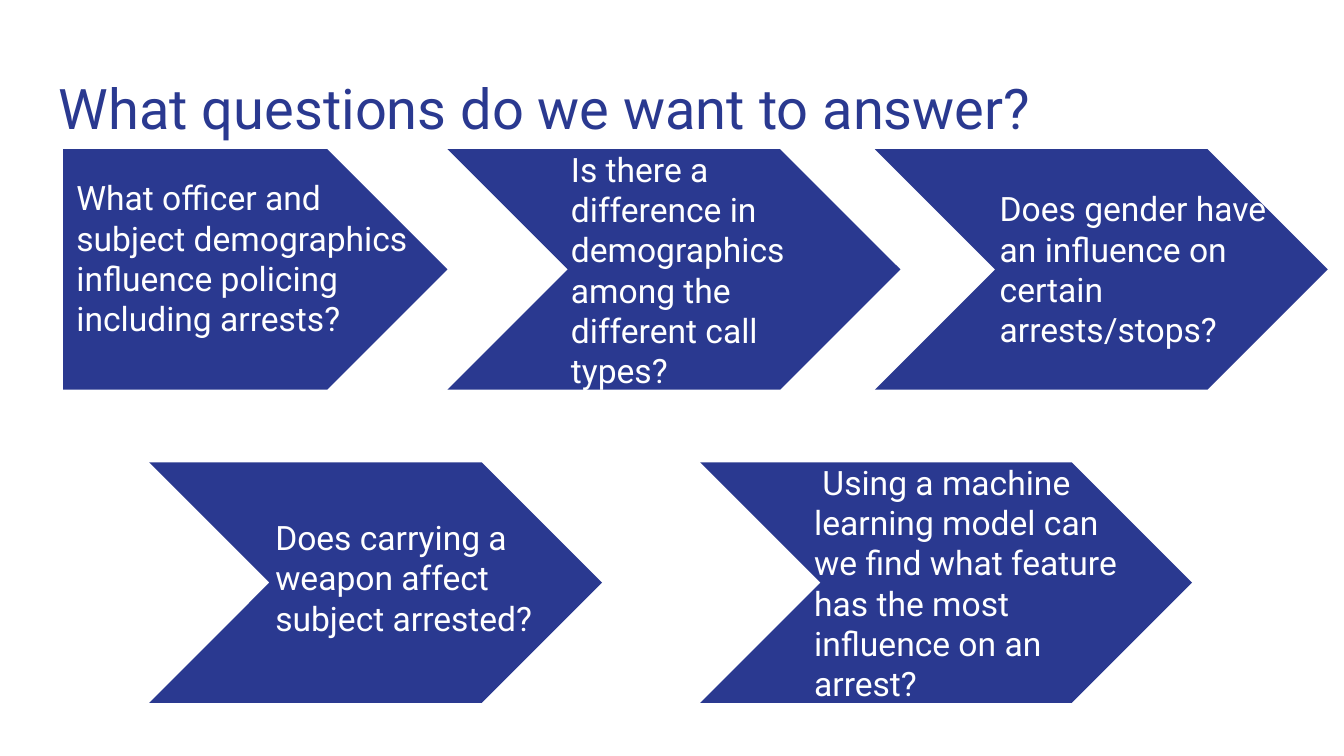
from dataclasses import dataclass

from pptx import Presentation
from pptx.dml.color import RGBColor
from pptx.enum.shapes import MSO_SHAPE
from pptx.enum.text import MSO_ANCHOR
from pptx.slide import Slide
from pptx.util import Inches, Pt

PENTAGON = MSO_SHAPE.PENTAGON
CHEVRON = MSO_SHAPE.CHEVRON
TOP = MSO_ANCHOR.TOP
MIDDLE = MSO_ANCHOR.MIDDLE

# The slide is 16:9 and ten columns wide; a row is as tall as a column is wide.
COLUMNS = 10
ROWS = COLUMNS * 9 / 16
COLUMN = Inches(1)
ARROW_HEIGHT = 1.79
UPPER_ROW, LOWER_ROW = 1.11, 3.44
INSET = 0.1


@dataclass(frozen=True)
class Theme:
    font: str = "Roboto"
    navy: RGBColor = RGBColor(0x2A, 0x39, 0x90)
    white: RGBColor = RGBColor(0xFF, 0xFF, 0xFF)
    title_size: int = 30
    question_size: int = 18


@dataclass(frozen=True)
class Area:
    """A place on the slide, in columns and rows."""
    left: float
    top: float
    width: float
    height: float

    def to_emu(self) -> list[int]:
        return [round(n * COLUMN)
                for n in (self.left, self.top, self.width, self.height)]


@dataclass(frozen=True)
class Question:
    wording: str
    arrow: Area
    label: Area
    outline: MSO_SHAPE = CHEVRON
    bottom_inset: float = INSET


THEME = Theme()

QUESTIONS = [
    Question("What officer and subject demographics influence policing "
             "including arrests?",
             Area(0.47, UPPER_ROW, 2.86, ARROW_HEIGHT),
             Area(0.47, 1.2, 2.7, 1.44), PENTAGON),
    Question("Is there a difference in demographics among the different "
             "call types?",
             Area(3.33, UPPER_ROW, 3.37, ARROW_HEIGHT),
             Area(4.15, UPPER_ROW, 2.36, ARROW_HEIGHT)),
    Question("Does gender have an influence on certain arrests/stops?",
             Area(6.51, UPPER_ROW, 3.37, ARROW_HEIGHT),
             Area(7.34, 1.28, 2.47, 1.44)),
    Question("Does carrying a weapon affect subject arrested?",
             Area(1.11, LOWER_ROW, 3.37, ARROW_HEIGHT),
             Area(1.95, LOWER_ROW, 2.36, 1.71)),
    Question(" Using a machine learning model can we find what feature has "
             "the most influence on an arrest?",
             Area(5.21, LOWER_ROW, 3.66, ARROW_HEIGHT),
             Area(5.96, 3.56, 2.47, 2.15), bottom_inset=0.7),
]


def add_text(slide: Slide, wording: str, area: Area, size: int,
             color: RGBColor, anchor: MSO_ANCHOR,
             bottom_inset: float = INSET) -> None:
    frame = slide.shapes.add_textbox(*area.to_emu()).text_frame
    layout = {
        "word_wrap": True,
        "vertical_anchor": anchor,
        "margin_left": Inches(INSET),
        "margin_right": Inches(INSET),
        "margin_top": Inches(INSET),
        "margin_bottom": Inches(bottom_inset),
    }
    for attribute, value in layout.items():
        setattr(frame, attribute, value)
    run = frame.paragraphs[0].add_run()
    run.text = wording
    run.font.name = THEME.font
    run.font.size = Pt(size)
    run.font.color.rgb = color


def add_question(slide: Slide, question: Question) -> None:
    """Draw the arrow, then lay its wording over it."""
    arrow = slide.shapes.add_shape(question.outline, *question.arrow.to_emu())
    arrow.adjustments[0] = 0.5
    arrow.shadow.inherit = False
    arrow.fill.solid()
    arrow.fill.fore_color.rgb = THEME.navy
    arrow.line.fill.background()
    add_text(slide, question.wording, question.label, THEME.question_size,
             THEME.white, MIDDLE, question.bottom_inset)


def main() -> None:
    deck = Presentation()
    deck.slide_width = COLUMNS * COLUMN
    deck.slide_height = round(ROWS * COLUMN)
    slide = deck.slides.add_slide(deck.slide_layouts[6])
    add_text(slide, "What questions do we want to answer?",
             Area(0.34, 0.45, 9.32, 0.66), THEME.title_size, THEME.navy, TOP)
    for question in QUESTIONS:
        add_question(slide, question)
    deck.save("out.pptx")


if __name__ == "__main__":
    main()
